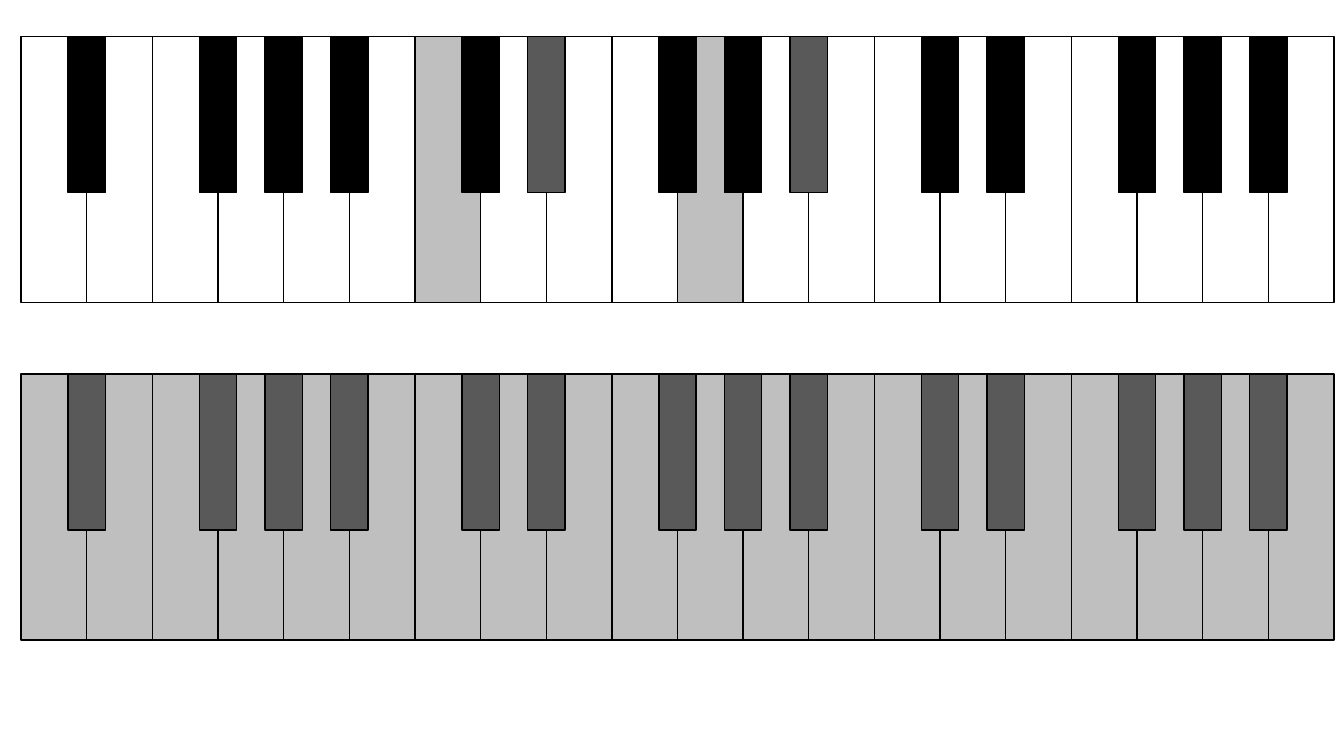
"""Build a slide with two piano keyboards, one with a chord and one fully shaded."""
from pptx import Presentation
from pptx.dml.color import RGBColor
from pptx.enum.shapes import MSO_SHAPE
from pptx.util import Inches, Pt

WHITE = RGBColor(0xFF, 0xFF, 0xFF)
BLACK = RGBColor(0x00, 0x00, 0x00)
LIGHT_GREY = RGBColor(0xBF, 0xBF, 0xBF)
DARK_GREY = RGBColor(0x59, 0x59, 0x59)

WHITE_COUNT = 20
KEYBOARD_LEFT = 0.21
KEYBOARD_WIDTH = 13.02
WHITE_WIDTH = KEYBOARD_WIDTH / WHITE_COUNT
WHITE_HEIGHT = 2.64
BLACK_WIDTH = 0.37
BLACK_HEIGHT = 1.55
WHITE_KEYS = range(WHITE_COUNT)
BLACK_KEYS = [1, 3, 4, 5, 7, 8, 10, 11, 12, 14, 15, 17, 18, 19]

KEYBOARDS = [
    (0.36, [6, 10], [8, 12]),
    (3.71, WHITE_KEYS, BLACK_KEYS),
]

presentation = Presentation()
presentation.slide_width = Inches(13.33)
presentation.slide_height = Inches(7.5)
slide = presentation.slides.add_slide(presentation.slide_layouts[6])


def add_key(left, top, width, height, color):
    key = slide.shapes.add_shape(
        MSO_SHAPE.RECTANGLE, Inches(left), Inches(top), Inches(width), Inches(height)
    )
    key.shadow.inherit = False
    key.fill.solid()
    key.fill.fore_color.rgb = color
    key.line.color.rgb = BLACK
    key.line.width = Pt(1)


for top, shaded_whites, shaded_blacks in KEYBOARDS:
    for index in WHITE_KEYS:
        left = KEYBOARD_LEFT + index * WHITE_WIDTH
        color = LIGHT_GREY if index in shaded_whites else WHITE
        add_key(left, top, WHITE_WIDTH, WHITE_HEIGHT, color)
    for boundary in BLACK_KEYS:
        left = KEYBOARD_LEFT + boundary * WHITE_WIDTH - BLACK_WIDTH / 2
        color = DARK_GREY if boundary in shaded_blacks else BLACK
        add_key(left, top, BLACK_WIDTH, BLACK_HEIGHT, color)

presentation.save("out.pptx")
